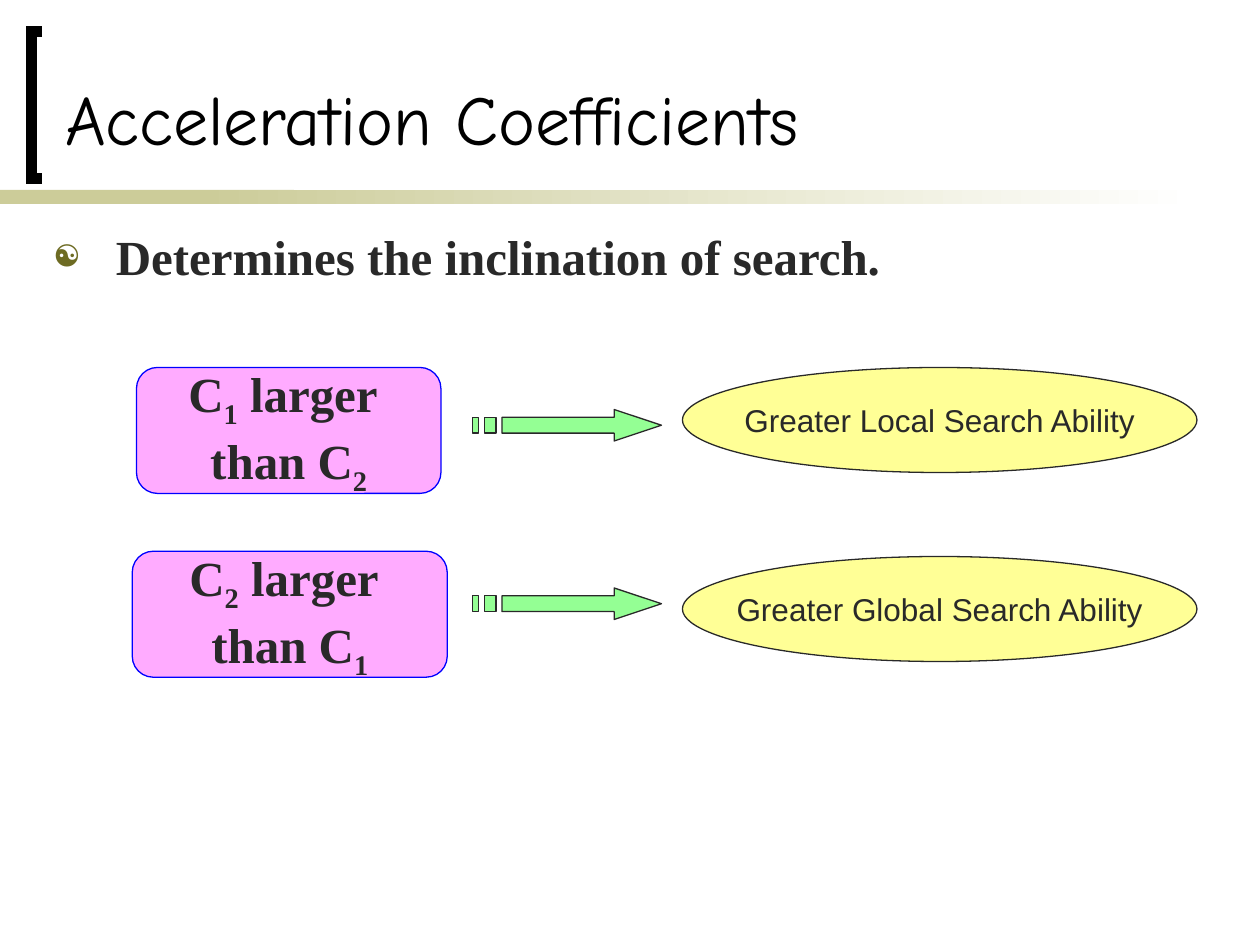
"""Build the Acceleration Coefficients slide."""
from dataclasses import dataclass
from typing import Any

import lxml.etree
import pptx
import pptx.dml.color
import pptx.enum.shapes
import pptx.enum.text
import pptx.oxml.ns
import pptx.util

Pt = pptx.util.Pt
qn = pptx.oxml.ns.qn
Shapes = pptx.enum.shapes.MSO_SHAPE
Align = pptx.enum.text.PP_ALIGN
Anchor = pptx.enum.text.MSO_ANCHOR


@dataclass(frozen=True)
class Theme:
    """Colours, fonts and type sizes of the slide."""
    black: str = "000000"
    ink: str = "292929"
    white: str = "FFFFFF"
    sand: str = "CCCC99"
    bullet: str = "6D6B23"
    cause: str = "FF00FF"
    cause_line: str = "0000FF"
    arrow: str = "00FF00"
    effect: str = "FFFF00"
    title_font: str = "Comic Neue"
    serif: str = "Times New Roman"
    sans: str = "Arial"
    title_size: float = 40
    body_size: float = 28
    label_size: float = 18


@dataclass(frozen=True)
class Frame:
    """A rectangle in points."""
    left: float
    top: float
    width: float
    height: float

    def lengths(self) -> list[int]:
        """Return the four lengths for python-pptx."""
        return [Pt(value) for value in (self.left, self.top, self.width, self.height)]


@dataclass(frozen=True)
class Outcome:
    """A condition, its arrow and the ability it leads to."""
    cause_frame: Frame
    cause_lines: list[list[str]]
    arrow_top: float
    effect_frame: Frame
    effect: str


THEME = Theme()
OUTCOMES = [
    Outcome(Frame(78, 210, 174, 72), [["C", "1", " larger "], ["than C", "2"]],
            234, Frame(390, 210, 294, 60), "Greater Local Search Ability"),
    Outcome(Frame(75.6, 315, 180, 72), [["C", "2", " larger "], ["than C", "1"]],
            336, Frame(390, 318, 294, 60), "Greater Global Search Ability"),
]
ARROW_CONTOURS = [
    [(81, 0), (81, 4.5), (16.88, 4.5), (16.88, 13.5), (81, 13.5), (81, 18), (108, 9)],
    [(6.75, 4.5), (6.75, 13.5), (13.5, 13.5), (13.5, 4.5)],
    [(0, 4.5), (0, 13.5), (3.38, 13.5), (3.38, 4.5)],
]


def rgb(code: str) -> pptx.dml.color.RGBColor:
    """Turn a hex code into a colour."""
    return pptx.dml.color.RGBColor.from_string(code)


def set_font(font: Any, name: str, size: float, color: str, bold: bool = False) -> None:
    """Apply a typeface, size, colour and weight."""
    font.name, font.size, font.bold = name, Pt(size), bold
    font.color.rgb = rgb(color)


def paint(shape: Any, fill: str, opacity: int, line: str) -> None:
    """Give a shape a translucent fill and a thin outline."""
    shape.shadow.inherit = False
    shape.fill.solid()
    shape.fill.fore_color.rgb = rgb(fill)
    color = shape._element.spPr.find(qn("a:solidFill")).find(qn("a:srgbClr"))
    lxml.etree.SubElement(color, qn("a:alpha"), val=str(opacity * 1000))
    shape.line.color.rgb = rgb(line)
    shape.line.width = Pt(0.75)


def add_bar(page: Any, frame: Frame, fade: bool) -> None:
    """Draw one part of the rule under the title."""
    bar = page.shapes.add_shape(Shapes.RECTANGLE, *frame.lengths())
    bar.shadow.inherit = False
    bar.line.fill.background()
    if fade:
        bar.fill.gradient()
        bar.fill.gradient_angle = 0
        for stop, color, position in zip(bar.fill.gradient_stops, (THEME.sand, THEME.white), (0, 1)):
            stop.color.rgb = rgb(color)
            stop.position = position
    else:
        bar.fill.solid()
        bar.fill.fore_color.rgb = rgb(THEME.sand)


def add_bracket(page: Any) -> None:
    """Draw the heavy bracket beside the title."""
    builder = page.shapes.build_freeform(Pt(24), Pt(102))
    builder.add_line_segments([(Pt(18), Pt(102)), (Pt(18), Pt(18)), (Pt(24), Pt(18))], close=False)
    bracket = builder.convert_to_shape()
    bracket.shadow.inherit = False
    bracket.fill.background()
    bracket.line.color.rgb = rgb(THEME.black)
    bracket.line.width = Pt(6)
    lxml.etree.SubElement(bracket._element.spPr.find(qn("a:ln")), qn("a:miter"), lim="800000")


def add_arrow(page: Any, left: float, top: float) -> None:
    """Draw a striped arrow."""
    contours = [[(Pt(left + x), Pt(top + y)) for x, y in contour] for contour in ARROW_CONTOURS]
    builder = page.shapes.build_freeform(*contours[0][0])
    builder.add_line_segments(contours[0][1:])
    for contour in contours[1:]:
        builder.move_to(*contour[0])
        builder.add_line_segments(contour[1:])
    paint(builder.convert_to_shape(), THEME.arrow, 42, THEME.ink)


def add_cause(page: Any, frame: Frame, lines: list[list[str]]) -> None:
    """Draw a condition box whose every second span is a subscript."""
    box = page.shapes.add_shape(Shapes.ROUNDED_RECTANGLE, *frame.lengths())
    paint(box, THEME.cause, 33, THEME.cause_line)
    text = box.text_frame
    text.word_wrap, text.vertical_anchor = False, Anchor.MIDDLE
    for number, line in enumerate(lines):
        para = text.add_paragraph() if number else text.paragraphs[0]
        para.alignment = Align.CENTER
        for index, words in enumerate(line):
            span = para.add_run()
            span.text = words
            set_font(span.font, THEME.serif, THEME.body_size, THEME.ink, True)
            if index % 2:
                span._r.get_or_add_rPr().set("baseline", "-25000")


def add_effect(page: Any, frame: Frame, label: str) -> None:
    """Draw an ability ellipse."""
    ellipse = page.shapes.add_shape(Shapes.OVAL, *frame.lengths())
    paint(ellipse, THEME.effect, 41, THEME.ink)
    text = ellipse.text_frame
    text.text = label
    text.word_wrap, text.vertical_anchor = False, Anchor.MIDDLE
    text.paragraphs[0].alignment = Align.CENTER
    set_font(text.paragraphs[0].runs[0].font, THEME.sans, THEME.label_size, THEME.ink)


def fill_placeholder(holder: Any, frame: Frame, words: str, anchor: Any) -> Any:
    """Place a placeholder and return its only paragraph."""
    holder.left, holder.top, holder.width, holder.height = frame.lengths()
    text = holder.text_frame
    text.text = words
    text.auto_size = pptx.enum.text.MSO_AUTO_SIZE.NONE
    text.word_wrap, text.vertical_anchor = True, anchor
    para = text.paragraphs[0]
    para.alignment, para.space_before = Align.LEFT, Pt(0)
    return para


def add_bullet(para: Any) -> None:
    """Give a paragraph a hanging yin-yang bullet."""
    properties = para._p.get_or_add_pPr()
    properties.set("marL", str(Pt(35)))
    properties.set("indent", str(Pt(-35)))
    color = lxml.etree.SubElement(properties, qn("a:buClr"))
    lxml.etree.SubElement(color, qn("a:srgbClr"), val=THEME.bullet)
    lxml.etree.SubElement(properties, qn("a:buSzPct"), val="60000")
    lxml.etree.SubElement(properties, qn("a:buChar"), char="☯")


def main() -> None:
    """Build and save the deck."""
    deck = pptx.Presentation()
    deck.slide_width, deck.slide_height = Pt(720), Pt(540)
    page = deck.slides.add_slide(deck.slide_layouts[1])
    add_bar(page, Frame(0, 108.5, 168, 8), False)
    add_bar(page, Frame(114, 108.5, 570, 8), True)
    add_bracket(page)
    title = fill_placeholder(page.shapes.title, Frame(30, 24, 670, 70.5),
                             "Acceleration Coefficients", Anchor.BOTTOM)
    set_font(title.runs[0].font, THEME.title_font, THEME.title_size, THEME.black)
    body = fill_placeholder(page.placeholders[1], Frame(24, 126, 678, 360),
                            "Determines the inclination of search.", Anchor.TOP)
    add_bullet(body)
    set_font(body.runs[0].font, THEME.serif, THEME.body_size, THEME.ink, True)
    for outcome in OUTCOMES:
        add_cause(page, outcome.cause_frame, outcome.cause_lines)
        add_arrow(page, 270, outcome.arrow_top)
        add_effect(page, outcome.effect_frame, outcome.effect)
    deck.save("out.pptx")


if __name__ == "__main__":
    main()
